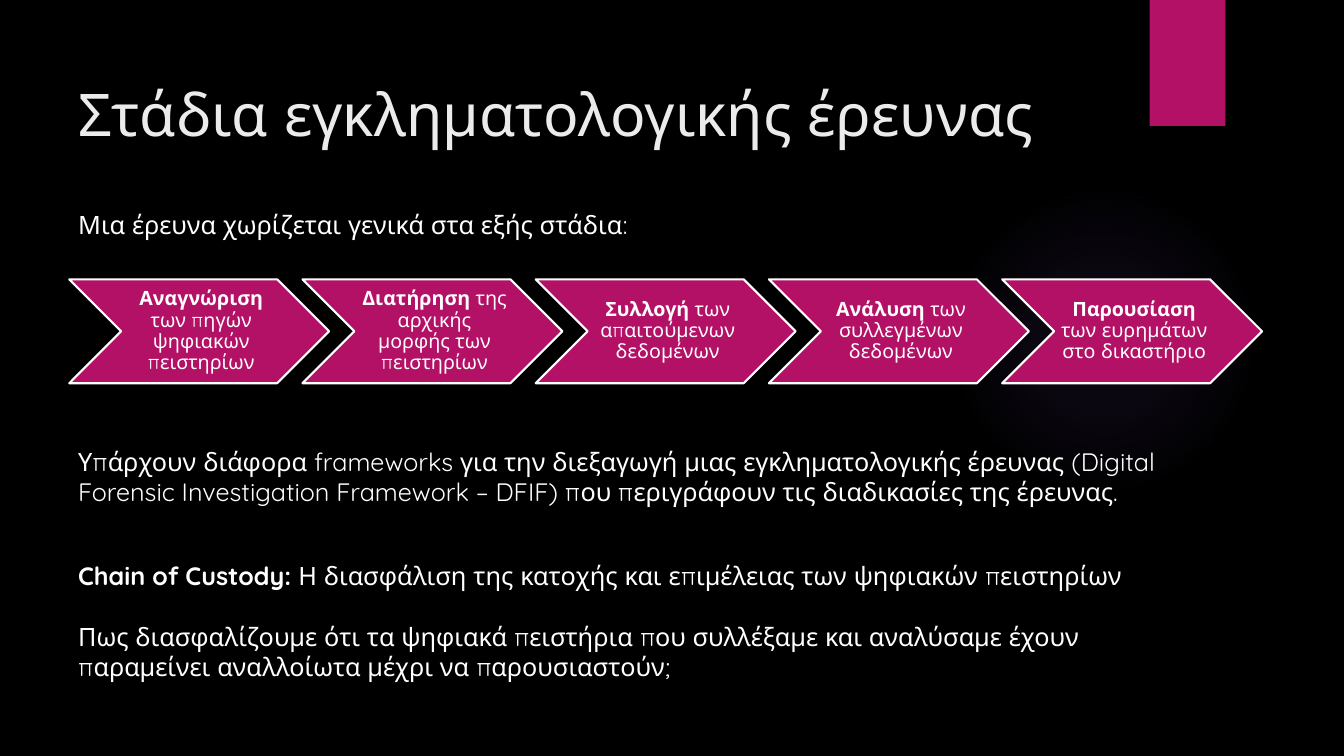
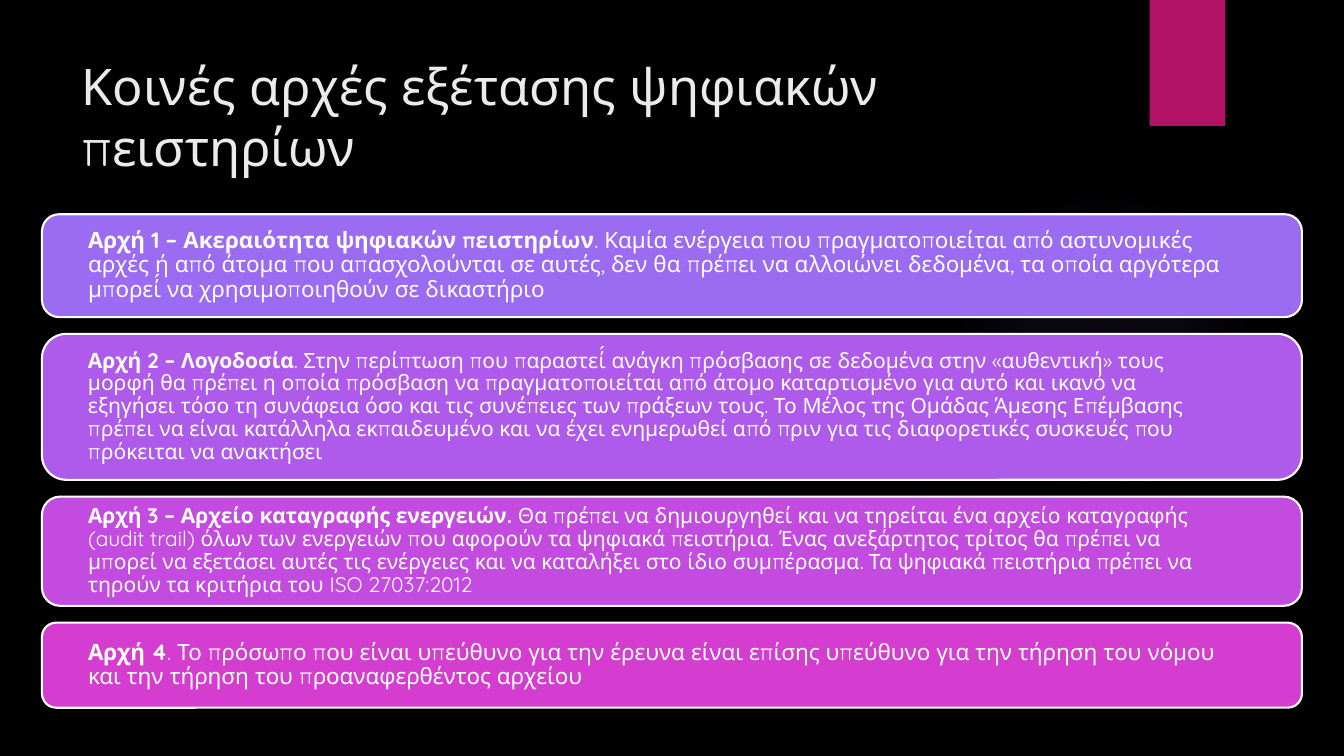
from lxml.etree import SubElement
from pptx import Presentation
from pptx.dml.color import RGBColor
from pptx.enum.shapes import MSO_SHAPE
from pptx.enum.text import MSO_ANCHOR, PP_ALIGN
from pptx.oxml.ns import qn
from pptx.util import Pt

PX = 9525  # EMU in one px (96 px to the inch)
FONT = "Quicksand"
BLACK = RGBColor(0x00, 0x00, 0x00)
WHITE = RGBColor(0xFF, 0xFF, 0xFF)
TITLE_GREY = RGBColor(0xEB, 0xEB, 0xEB)
MAGENTA = RGBColor(0xB3, 0x11, 0x66)
VIOLET = RGBColor(0x9B, 0x6B, 0xF2)
PURPLE = RGBColor(0xAE, 0x5A, 0xEA)
ORCHID = RGBColor(0xC3, 0x4B, 0xE0)
PINK = RGBColor(0xD5, 0x3D, 0xD0)

GLOW_STOPS = [(0, 7), (36, 6), (69, 0)]  # position %, opacity %
CORNER_INSET = 0.05  # share of a band's height that its round corners take from the text

# Each text is a pair: bold lead, regular rest
STAGES = [
    ("Αναγνώριση", " των πηγών ψηφιακών πειστηρίων"),
    ("Διατήρηση", " της αρχικής μορφής των πειστηρίων"),
    ("Συλλογή", " των απαιτούμενων δεδομένων"),
    ("Ανάλυση", " των συλλεγμένων δεδομένων"),
    ("Παρουσίαση", " των ευρημάτων στο δικαστήριο"),
]
INTRO = [("", "Μια έρευνα χωρίζεται γενικά στα εξής στάδια:")]
FRAMEWORKS = [("", "Υπάρχουν διάφορα frameworks για την διεξαγωγή μιας εγκληματολογικής έρευνας "
               "(Digital Forensic Investigation Framework – DFIF) που περιγράφουν τις "
               "διαδικασίες της έρευνας.")]
CUSTODY = [
    ("Chain of Custody: ", "Η διασφάλιση της κατοχής και επιμέλειας των ψηφιακών πειστηρίων"),
    ("", "Πως διασφαλίζουμε ότι τα ψηφιακά πειστήρια που συλλέξαμε και αναλύσαμε έχουν "
         "παραμείνει αναλλοίωτα μέχρι να παρουσιαστούν;"),
]

# Band height, colour, text size, text
PRINCIPLES = [
    (98, VIOLET, 16, ("Αρχή 1 – Ακεραιότητα ψηφιακών πειστηρίων",
     ". Καμία ενέργεια που πραγματοποιείται από αστυνομικές αρχές ή από άτομα που "
     "απασχολούνται σε αυτές, δεν θα πρέπει να αλλοιώνει δεδομένα, τα οποία αργότερα "
     "μπορεί́ να χρησιμοποιηθούν σε δικαστήριο")),
    (139, PURPLE, 15, ("Αρχή 2 – Λογοδοσία",
     ". Στην περίπτωση που παραστεί́ ανάγκη πρόσβασης σε δεδομένα στην «αυθεντική» τους "
     "μορφή θα πρέπει η οποία πρόσβαση να πραγματοποιείται από άτομο καταρτισμένο για αυτό "
     "και ικανό να εξηγήσει τόσο τη συνάφεια όσο και τις συνέπειες των πράξεων τους. Το "
     "Μέλος της Ομάδας Άμεσης Επέμβασης πρέπει να είναι κατάλληλα εκπαιδευμένο και να έχει "
     "ενημερωθεί από πριν για τις διαφορετικές συσκευές που πρόκειται να ανακτήσει")),
    (104, ORCHID, 15, ("Αρχή 3 – Αρχείο καταγραφής ενεργειών.",
     " Θα πρέπει να δημιουργηθεί και να τηρείται ένα αρχείο καταγραφής (audit trail) όλων "
     "των ενεργειών που αφορούν τα ψηφιακά πειστήρια. Ένας ανεξάρτητος τρίτος θα πρέπει να "
     "μπορεί να εξετάσει αυτές τις ενέργειες και να καταλήξει στο ίδιο συμπέρασμα. Τα "
     "ψηφιακά πειστήρια πρέπει να τηρούν τα κριτήρια του ISO 27037:2012")),
    (81, PINK, 16, ("Αρχή 4",
     ". Το πρόσωπο που είναι υπεύθυνο για την έρευνα είναι επίσης υπεύθυνο για την τήρηση "
     "του νόμου και την τήρηση του προαναφερθέντος αρχείου")),
]


def px(*lengths):
    return [round(length * PX) for length in lengths]


def write(paragraph, text, size, color=WHITE):
    lead, rest = text
    if lead:
        run = paragraph.add_run()
        run.text = lead
        run.font.bold = True
    paragraph.add_run().text = rest
    paragraph.font.name = FONT
    paragraph.font.size = Pt(size)
    paragraph.font.color.rgb = color


def add_text(slide, box, texts, size=18, color=WHITE):
    frame = slide.shapes.add_textbox(*px(*box)).text_frame
    frame.word_wrap = True
    for index, text in enumerate(texts):
        paragraph = frame.add_paragraph() if index else frame.paragraphs[0]
        if index:
            paragraph.space_before = Pt(22)
        write(paragraph, text, size, color)


def add_block(slide, preset, box, fill, outlined=True):
    block = slide.shapes.add_shape(preset, *px(*box))
    block.shadow.inherit = False
    block.fill.solid()
    block.fill.fore_color.rgb = fill
    if outlined:
        block.line.color.rgb = WHITE
        block.line.width = Pt(1.5)
    else:
        block.line.fill.background()
    return block


def fill_block(block, text, size, align, insets):
    frame = block.text_frame
    frame.word_wrap = True
    frame.vertical_anchor = MSO_ANCHOR.MIDDLE
    (frame.margin_left, frame.margin_top,
     frame.margin_right, frame.margin_bottom) = px(*insets)
    paragraph = frame.paragraphs[0]
    paragraph.alignment = align
    paragraph.line_spacing = 0.9
    write(paragraph, text, size)


def add_glow(slide, box):
    glow = add_block(slide, MSO_SHAPE.OVAL, box, VIOLET, outlined=False)
    properties = glow.fill._xPr
    solid = properties.find(qn("a:solidFill"))
    gradient = SubElement(properties, qn("a:gradFill"), rotWithShape="1")
    properties.replace(solid, gradient)
    stops = SubElement(gradient, qn("a:gsLst"))
    for position, opacity in GLOW_STOPS:
        stop = SubElement(stops, qn("a:gs"), pos=str(position * 1000))
        color = SubElement(stop, qn("a:srgbClr"), val=str(VIOLET))
        SubElement(color, qn("a:alpha"), val=str(opacity * 1000))
    circle = SubElement(gradient, qn("a:path"), path="circle")
    SubElement(circle, qn("a:fillToRect"), l="50000", t="50000", r="50000", b="50000")


def add_base(deck, title, title_box, title_size):
    """Slide with the shared background, glow, corner tab and title."""
    slide = deck.slides.add_slide(deck.slide_layouts[6])
    slide.background.fill.solid()
    slide.background.fill.fore_color.rgb = BLACK
    add_glow(slide, (903, 176, 296, 296))
    add_block(slide, MSO_SHAPE.RECTANGLE, (1095, 0, 72, 120), MAGENTA, outlined=False)
    add_text(slide, title_box, [("", title)], title_size, TITLE_GREY)
    return slide


def add_stages(slide, box):
    """Row of chevrons, each tucked into the one before."""
    left, top, width, height = box
    chevron_width = height * 2.5
    step = (width - chevron_width) / (len(STAGES) - 1)
    for index, stage in enumerate(STAGES):
        chevron = add_block(slide, MSO_SHAPE.CHEVRON,
                            (left + index * step, top, chevron_width, height), MAGENTA)
        fill_block(chevron, stage, 14, PP_ALIGN.CENTER, (6, 2, 2, 2))


def add_principles(slide, box, gap=16):
    """Stack of rounded bands."""
    left, top, width = box
    for height, color, size, text in PRINCIPLES:
        band = add_block(slide, MSO_SHAPE.ROUNDED_RECTANGLE, (left, top, width, height), color)
        corner = height * CORNER_INSET
        fill_block(band, text, size, PP_ALIGN.LEFT, (44 - corner, 0, 75 - corner, 0))
        top += height + gap


def build_stages_slide(deck):
    slide = add_base(deck, "Στάδια εγκληματολογικής έρευνας", (65, 69, 988, 147), 42)
    add_text(slide, (65, 195, 626, 38), INTRO)
    add_stages(slide, (66, 266, 1136, 99))
    add_text(slide, (65, 420, 1065, 68), FRAMEWORKS)
    add_text(slide, (65, 529, 1046, 126), CUSTODY)


def build_principles_slide(deck):
    slide = add_base(deck, "Κοινές αρχές εξέτασης ψηφιακών πειστηρίων", (68, 48, 988, 130), 36)
    add_principles(slide, (40, 204, 1200))


def main():
    deck = Presentation()
    deck.slide_width, deck.slide_height = px(1280, 720)
    build_stages_slide(deck)
    build_principles_slide(deck)
    deck.save("out.pptx")


if __name__ == "__main__":
    main()
